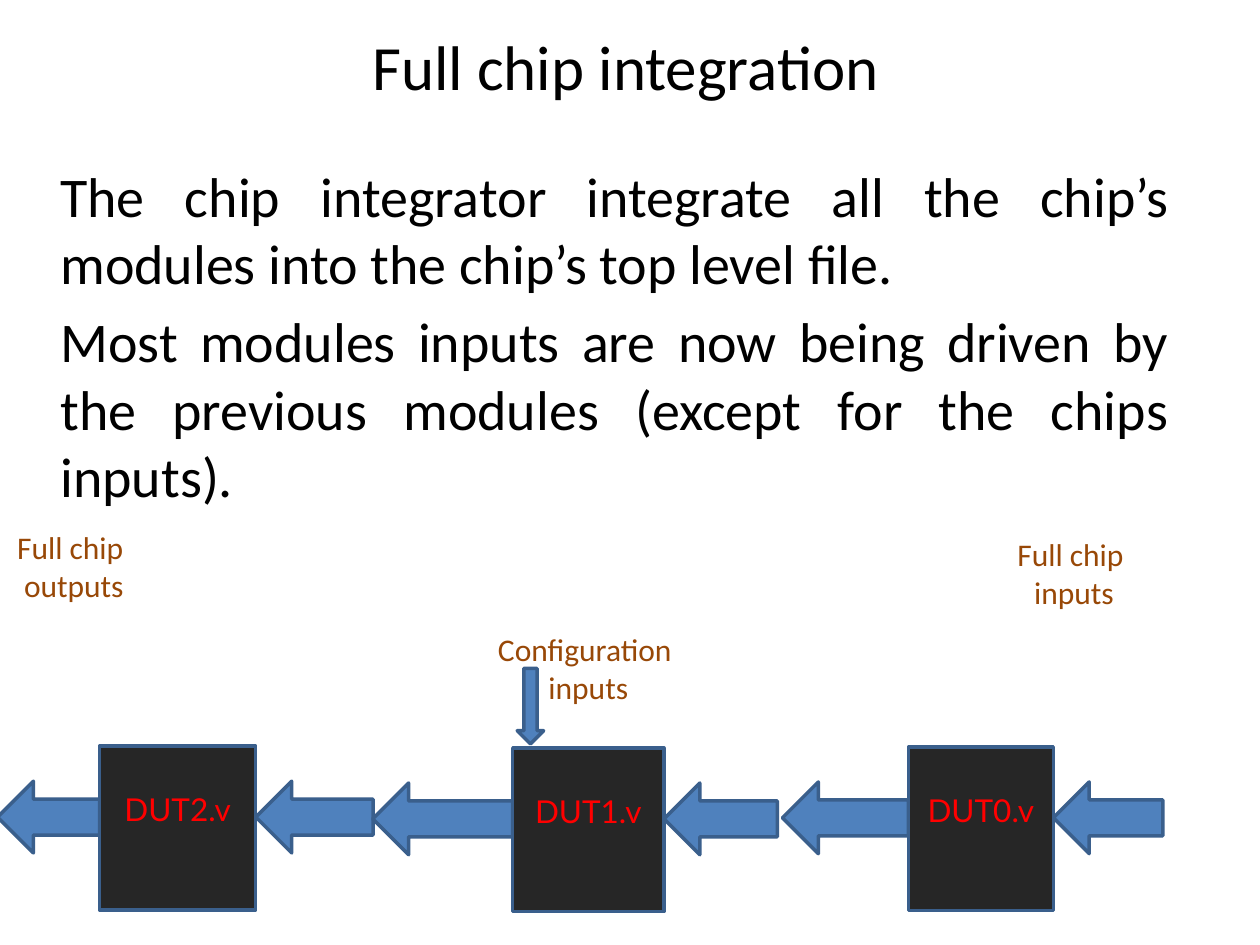
from pptx import Presentation
from pptx.dml.color import RGBColor
from pptx.enum.shapes import MSO_SHAPE
from pptx.enum.text import MSO_ANCHOR, MSO_AUTO_SIZE, PP_ALIGN
from pptx.util import Pt

COLORS = {"black": "000000", "blue": "4F81BD", "edge": "3A5F8C",
          "module": "262626", "name": "FF0000", "label": "984807"}


def color(name):
    return RGBColor.from_string(COLORS[name])


def add_text(frame, lines, size, ink, font="Calibri", align=PP_ALIGN.CENTER, before=0):
    for index, line in enumerate(lines):
        para = frame.paragraphs[0] if index == 0 else frame.add_paragraph()
        para.alignment = align
        para.space_before = Pt(before)
        span = para.add_run()
        span.text = line
        span.font.name = font
        span.font.size = Pt(size)
        span.font.color.rgb = color(ink)


def add_block(page, kind, box, fill, rotation=0):
    shape = page.shapes.add_shape(kind, *map(Pt, box))
    shape.rotation = rotation
    shape.shadow.inherit = False
    shape.fill.solid()
    shape.fill.fore_color.rgb = color(fill)
    shape.line.color.rgb = color("edge")
    shape.line.width = Pt(2)
    return shape


def add_arrow(page, box, rotation=180):
    add_block(page, MSO_SHAPE.RIGHT_ARROW, box, "blue", rotation)


def add_title(page, box, text):
    title = page.shapes.title
    title.left, title.top, title.width, title.height = map(Pt, box)
    frame = title.text_frame
    frame.auto_size = MSO_AUTO_SIZE.NONE
    frame.vertical_anchor = MSO_ANCHOR.MIDDLE
    add_text(frame, [text], 36, "black")


def add_body(page, box, lines):
    frame = page.shapes.add_textbox(*map(Pt, box)).text_frame
    frame.word_wrap = True
    add_text(frame, lines, 32, "black", align=PP_ALIGN.JUSTIFY, before=6.4)


def add_label(page, box, lines):
    frame = page.shapes.add_textbox(*map(Pt, box)).text_frame
    frame.word_wrap = False
    frame.auto_size = MSO_AUTO_SIZE.SHAPE_TO_FIT_TEXT
    add_text(frame, lines, 18, "label")


def add_module(page, box, name, input_width, output_width):
    """A module with its input arrow on the right and output arrow on the left."""
    left, top, width, height = box
    arrow_top, arrow_height = top + 20, 41
    add_arrow(page, (left + width, arrow_top, input_width, arrow_height))
    add_arrow(page, (left - output_width, arrow_top, output_width, arrow_height))
    frame = add_block(page, MSO_SHAPE.RECTANGLE, box, "module").text_frame
    frame.vertical_anchor = MSO_ANCHOR.MIDDLE
    frame.margin_bottom = Pt(25.2)  # lifts the name above the centre
    add_text(frame, [name], 18, "name", font="Lato")


deck = Presentation()
deck.slide_width, deck.slide_height = Pt(720), Pt(540)
page = deck.slides.add_slide(deck.slide_layouts[5])

# Heading and explanation
add_title(page, (5.8, 2.9, 711.4, 68.4), "Full chip integration ")
add_body(page, (27.4, 88.6, 648, 193), [
    "The chip integrator integrate all the chip’s modules into the chip’s top level file. ",
    "Most modules inputs are now being driven by the previous modules "
    "(except for the chips inputs). "])

# Chain of modules, flowing from right to left
for name, left, top, width, input_width, output_width in (
        ("DUT2.v", 56.9, 426.4, 89.3, 67, 58.3),
        ("DUT1.v", 293, 427.4, 86.4, 64.8, 80),
        ("DUT0.v", 519.1, 426.8, 82.8, 62.6, 72)):
    add_module(page, (left, top, width, 93.6), name, input_width, output_width)

# Configuration arrow and signal labels
add_arrow(page, (281.5, 396, 43.2, 15.1), rotation=90)
for box, lines in (
        ((573.8, 302.4, 80, 51), ["Full chip ", "inputs"]),
        ((2.2, 298.1, 80, 51), ["Full chip ", "outputs"]),
        ((276.5, 356.4, 119.5, 51), ["Configuration ", "inputs"])):
    add_label(page, box, lines)

deck.save("out.pptx")
